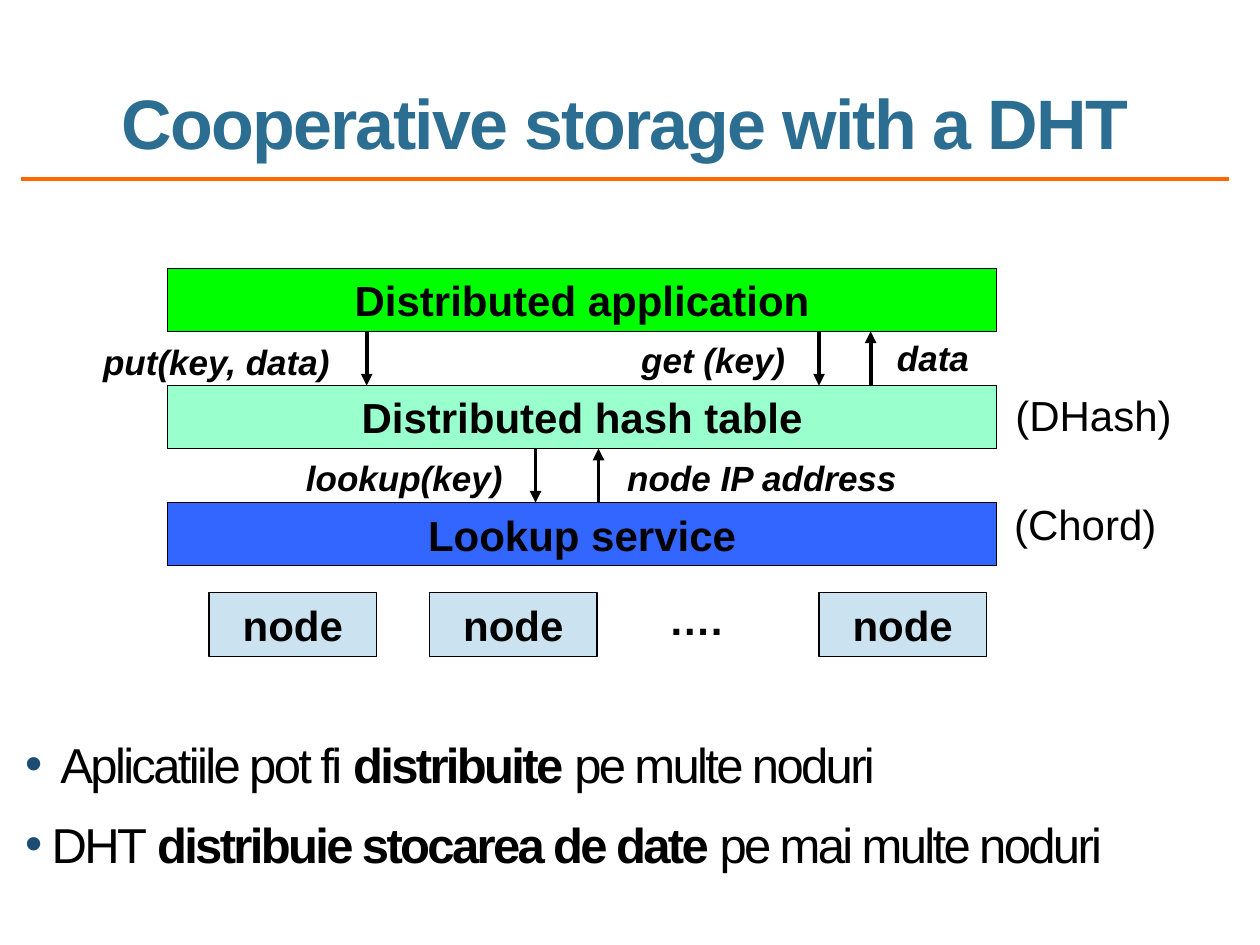
"""Build a slide on cooperative storage with a distributed hash table."""
from lxml import etree
from pptx import Presentation, util as u
from pptx.dml.color import RGBColor
from pptx.enum import shapes, text as t
from pptx.oxml import ns

COLORS = {
    "black": "000000", "title": "2C6D92", "rule": "FF6600", "bullet": "1C4C74",
    "application": "00FF00", "table": "99FFCC", "lookup": "3366FF", "node": "CBE2F0",
}


def color(name):
    """Return the named colour."""
    return RGBColor.from_string(COLORS[name])


def add_span(para, text, size=24, ink="black", bold=False, italic=False, spacing=0):
    """Append formatted text to a paragraph."""
    span = para.add_run()
    span.text = text
    font = span.font
    font.name, font.size = "Arial", u.Pt(size)
    font.bold, font.italic = bold, italic
    font.color.rgb = color(ink)
    if spacing:
        span._r.get_or_add_rPr().set("spc", str(int(spacing * 100)))


def add_text(page, left, top, width, height, text, wrap=False,
             anchor=t.MSO_ANCHOR.TOP, align=t.PP_ALIGN.LEFT, leading=None, **style):
    """Add a text box with one paragraph."""
    box = page.shapes.add_textbox(*map(u.Inches, (left, top, width, height)))
    frame = box.text_frame
    frame.word_wrap, frame.vertical_anchor = wrap, anchor
    para = frame.paragraphs[0]
    para.alignment = align
    if leading:
        para.line_spacing = leading
    add_span(para, text, **style)


def add_block(page, left, top, width, height, text, fill):
    """Add an outlined rectangle with a bold centred label."""
    box = page.shapes.add_shape(
        shapes.MSO_SHAPE.RECTANGLE, *map(u.Inches, (left, top, width, height)))
    box.shadow.inherit = False
    box.fill.solid()
    box.fill.fore_color.rgb = color(fill)
    box.line.color.rgb = color("black")
    box.line.width = u.Pt(0.75)
    box.text_frame.vertical_anchor = t.MSO_ANCHOR.MIDDLE
    para = box.text_frame.paragraphs[0]
    para.alignment = t.PP_ALIGN.CENTER
    add_span(para, text, bold=True)


def add_line(page, start, end, ink="black", width=2.25, arrow=True):
    """Add a straight line, with an arrowhead at its end if wanted."""
    line = page.shapes.add_connector(
        shapes.MSO_CONNECTOR.STRAIGHT, *map(u.Inches, (*start, *end)))
    line.line.color.rgb = color(ink)
    line.line.width = u.Pt(width)
    if arrow:
        etree.SubElement(line.line._get_or_add_ln(), ns.qn("a:tailEnd"), type="triangle")
    etree.SubElement(line._element.spPr, ns.qn("a:effectLst"))


def add_bullets(page, left, top, width, height, items):
    """Add a bulleted list of (indent, spans) items."""
    box = page.shapes.add_textbox(*map(u.Inches, (left, top, width, height)))
    frame = box.text_frame
    frame.word_wrap = True
    frame.margin_left = frame.margin_right = 0
    for index, (indent, spans) in enumerate(items):
        para = frame.add_paragraph() if index else frame.paragraphs[0]
        props = para._p.get_or_add_pPr()
        props.set("marL", str(u.Inches(indent)))
        props.set("indent", str(-u.Inches(indent)))
        if index:
            para.space_before = u.Pt(12)
        tint = etree.SubElement(props, ns.qn("a:buClr"))
        etree.SubElement(tint, ns.qn("a:srgbClr"), val=COLORS["bullet"])
        etree.SubElement(props, ns.qn("a:buFont"), typeface="Arial")
        etree.SubElement(props, ns.qn("a:buChar"), char="•")
        for text, bold in spans:
            add_span(para, text, size=28, bold=bold, spacing=-1.5)


def main():
    """Build and save the slide."""
    deck = Presentation()
    deck.slide_width, deck.slide_height = u.Inches(10), u.Inches(7.5)
    page = deck.slides.add_slide(deck.slide_layouts[6])

    add_line(page, (0.17, 1.42), (9.75, 1.42), ink="rule", width=2, arrow=False)
    add_text(page, 0.17, 0.17, 9.58, 1.17, "Cooperative storage with a DHT",
             wrap=True, anchor=t.MSO_ANCHOR.BOTTOM, align=t.PP_ALIGN.CENTER,
             leading=0.8, size=40, ink="title", bold=True, spacing=-1)

    first, step, height = 2.13, 0.93, 0.5
    layers = [("Distributed application", "application"),
              ("Distributed hash table", "table"), ("Lookup service", "lookup")]
    for index, (label, fill) in enumerate(layers):
        add_block(page, 1.33, first + index * step, 6.58, height, label, fill)

    for x, gap, down in [(2.91, 0, True), (6.5, 0, True), (6.91, 0, False),
                         (4.25, 1, True), (4.75, 1, False)]:
        upper = (x, first + gap * step + height)
        lower = (x, first + (gap + 1) * step)
        add_line(page, *((upper, lower) if down else (lower, upper)))

    for left, top, width, label in [
            (0.72, 2.65, 2.01, "put(key, data)"), (4.99, 2.64, 1.35, "get (key)"),
            (7.02, 2.62, 0.78, "data"), (2.33, 3.57, 1.78, "lookup(key)"),
            (4.88, 3.57, 2.36, "node IP address")]:
        add_text(page, left, top, width, 0.44, label, size=20, bold=True, italic=True)

    add_text(page, 7.96, 3.04, 1.49, 0.5, "(DHash)")
    add_text(page, 7.95, 3.91, 1.42, 0.5, "(Chord)")

    for left in (1.66, 3.41, 6.5):
        add_block(page, left, 4.7, 1.33, 0.51, "node", "node")
    add_text(page, 5.21, 4.66, 0.63, 0.51, "….", bold=True)

    add_bullets(page, 0.2, 5.78, 9.58, 1.07, [
        (0.28, [("Aplicatiile pot fi ", False), ("distribuite ", True),
                ("pe multe noduri", False)]),
        (0.21, [("DHT ", False), ("distribuie stocarea de date ", True),
                ("pe mai multe noduri", False)])])
    deck.save("out.pptx")


if __name__ == "__main__":
    main()
